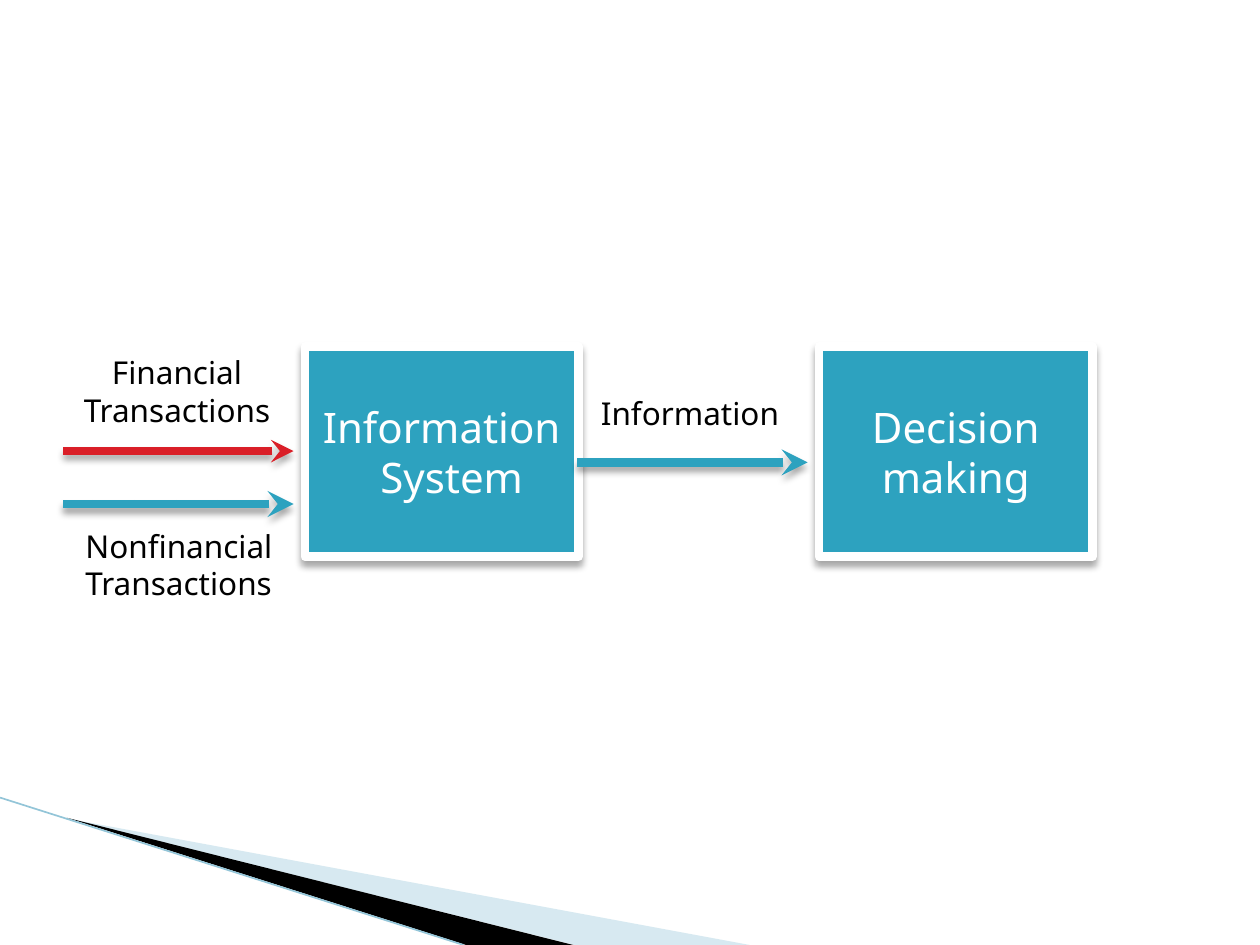
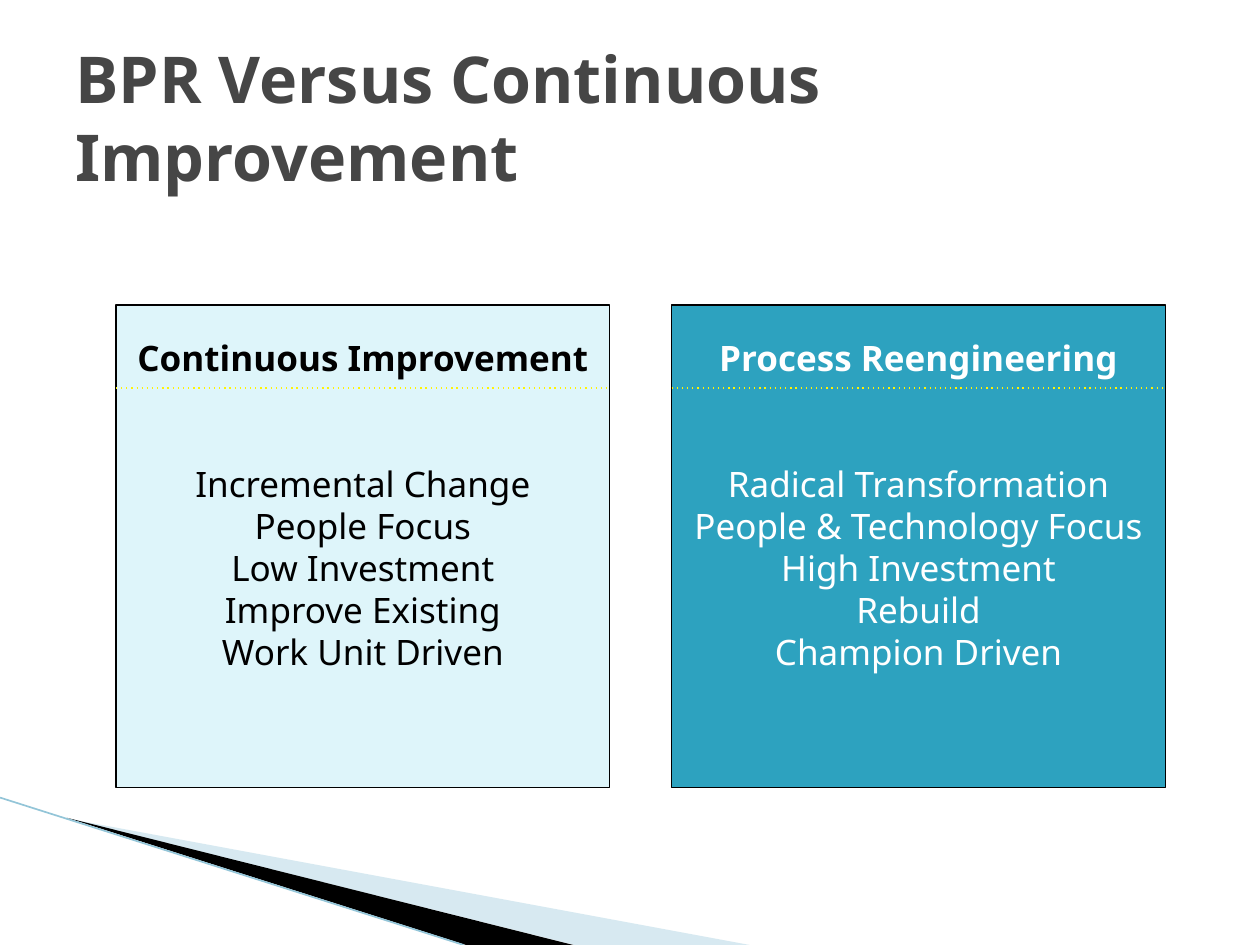
from lxml.etree import SubElement
from pptx import Presentation
from pptx.dml.color import RGBColor
from pptx.enum.shapes import MSO_CONNECTOR, MSO_SHAPE
from pptx.enum.text import MSO_ANCHOR, PP_ALIGN
from pptx.oxml.ns import qn
from pptx.util import Inches, Pt

FONT = "Noto Sans"
TEAL, PALE, RED, YELLOW = "2DA2BF", "DEF5FA", "DA1F28", "FFF305"
BLACK, WHITE, TITLE_GREY = "000000", "FFFFFF", "464646"
WEDGE_BLUE, EDGE_BLUE = "9CCADC", "93C5D8"


def color(hex_string):
    return RGBColor.from_string(hex_string)


def add_node(parent, tag, **attributes):
    return SubElement(parent, qn(tag), {key: str(value) for key, value in attributes.items()})


def set_effects(item, shadow):
    """Replace the theme's shadow by a soft one below, or by none; call after setting the line."""
    effects = add_node(item.element.spPr, "a:effectLst")
    if shadow:
        outer = add_node(effects, "a:outerShdw", blurRad=Pt(4), dist=Pt(3),
                         dir=5400000, algn="ctr", rotWithShape=0)
        add_node(add_node(outer, "a:srgbClr", val=BLACK), "a:alpha", val=35000)


def write(item, text, size=18, ink=BLACK, bold=False, align=PP_ALIGN.LEFT,
          anchor=MSO_ANCHOR.TOP, top_inset=0.05, heading_gap=0, last_indent=0):
    """Write one paragraph a line; a heading_gap in points makes the first line a bold heading."""
    frame = item.text_frame
    frame.word_wrap = True
    frame.vertical_anchor = anchor
    frame.margin_top = Inches(top_inset)
    lines = text.split("\n")
    for index, line in enumerate(lines):
        para = frame.paragraphs[0] if index == 0 else frame.add_paragraph()
        para.alignment = align
        span = para.add_run()
        span.text = line
        span.font.name = FONT
        span.font.size = Pt(size)
        span.font.bold = bold or (heading_gap > 0 and index == 0)
        span.font.color.rgb = color(ink)
        if heading_gap and index == 1:
            para.space_before = Pt(heading_gap)
    if last_indent:
        para._p.get_or_add_pPr().set("marL", str(Inches(last_indent)))


class SlideBuilder:
    def __init__(self):
        self.deck = Presentation()
        self.deck.slide_width, self.deck.slide_height = Inches(10), Inches(7.5)
        self.page = None

    def new_page(self):
        self.page = self.deck.slides.add_slide(self.deck.slide_layouts[6])
        self.wedge([(0.55, 6.5), (5.95, 7.5), (4.56, 7.5)], WEDGE_BLUE, opacity=40)
        self.wedge([(0.53, 6.49), (4.55, 7.5), (3.7, 7.5)], BLACK)
        self.line((0, 6.33), (3.68, 7.5), EDGE_BLUE, 0.95)

    def wedge(self, points, fill, opacity=100):
        corners = [(Inches(x), Inches(y)) for x, y in points]
        builder = self.page.shapes.build_freeform(*corners[0], scale=1.0)
        builder.add_line_segments(corners[1:], close=True)
        shape = builder.convert_to_shape()
        shape.fill.solid()
        shape.fill.fore_color.rgb = color(fill)
        shape.line.fill.background()
        set_effects(shape, False)
        if opacity < 100:
            fill_color = shape.element.spPr.find(qn("a:solidFill"))[0]
            add_node(fill_color, "a:alpha", val=opacity * 1000)

    def line(self, start, end, stroke, width, dash=None, arrow=False):
        connector = self.page.shapes.add_connector(
            MSO_CONNECTOR.STRAIGHT, *(Inches(value) for value in start + end))
        connector.line.color.rgb = color(stroke)
        connector.line.width = Pt(width)
        outline = connector.element.spPr.find(qn("a:ln"))
        if dash:
            add_node(outline, "a:prstDash", val=dash)
        if arrow:
            add_node(outline, "a:tailEnd", type="stealth")
        set_effects(connector, shadow=arrow)

    def box(self, left, top, width, height, text, fill, border, border_width,
            shadow=False, **text_format):
        box = self.page.shapes.add_shape(
            MSO_SHAPE.RECTANGLE, *map(Inches, (left, top, width, height)))
        box.fill.solid()
        box.fill.fore_color.rgb = color(fill)
        box.line.color.rgb = color(border)
        box.line.width = Pt(border_width)
        set_effects(box, shadow)
        write(box, text, align=PP_ALIGN.CENTER, **text_format)

    def label(self, left, top, width, height, text, **text_format):
        box = self.page.shapes.add_textbox(*map(Inches, (left, top, width, height)))
        write(box, text, **text_format)

    def title(self, text):
        self.label(0.5, 0.3, 9, 1.25, text, size=36.9, ink=TITLE_GREY, bold=True,
                   anchor=MSO_ANCHOR.MIDDLE)


def add_information_flow(slides):
    slides.new_page()
    for left, text, indent in ((2.42, "Information\nSystem", 0.16), (6.5, "Decision\nmaking", 0)):
        slides.box(left, 2.75, 2.17, 1.67, text, TEAL, WHITE, 5, shadow=True, size=24,
                   ink=WHITE, anchor=MSO_ANCHOR.MIDDLE, last_indent=indent)
    for left, y, stroke, width in ((0.5, 3.58, RED, 4.33), (0.5, 4, TEAL, 5),
                                   (4.58, 3.67, TEAL, 5)):
        slides.line((left, y), (left + 1.83, y), stroke, width, arrow=True)
    slides.label(0.48, 2.75, 1.85, 0.71, "Financial\nTransactions", align=PP_ALIGN.CENTER)
    slides.label(0.58, 4.13, 1.77, 0.71, "Nonfinancial\nTransactions")
    slides.label(4.67, 3.08, 1.72, 0.4, "Information")


def add_comparison(slides):
    slides.new_page()
    slides.title("BPR Versus Continuous Improvement")
    panels = (
        (0.92, PALE, BLACK, "Continuous Improvement\nIncremental Change\nPeople Focus\n"
                            "Low Investment\nImprove Existing\nWork Unit Driven"),
        (5.33, TEAL, WHITE, "Process Reengineering\nRadical Transformation\n"
                            "People & Technology Focus\nHigh Investment\nRebuild\n"
                            "Champion Driven"),
    )
    panel_width = 3.92
    for left, fill, ink, text in panels:
        slides.box(left, 2.42, panel_width, 3.83, text, fill, BLACK, 0.75, size=20, ink=ink,
                   top_inset=0.25, heading_gap=48)
        slides.line((left, 3.08), (left + panel_width, 3.08), YELLOW, 0.75, dash="dot")


def main():
    slides = SlideBuilder()
    add_information_flow(slides)
    add_comparison(slides)
    slides.deck.save("out.pptx")


if __name__ == "__main__":
    main()
